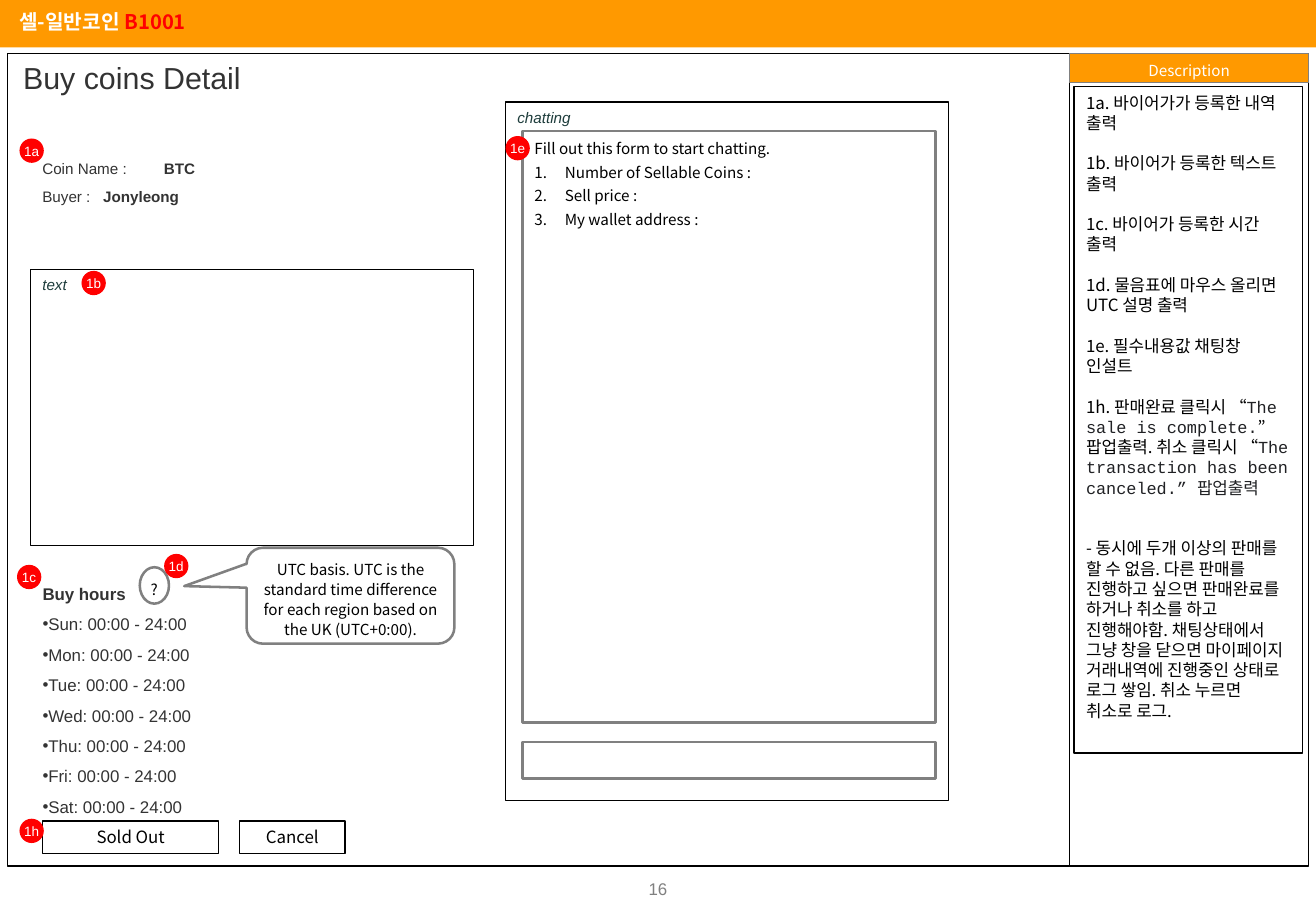
import pptx
import pptx.util
import pptx.dml.color
import pptx.enum.shapes
import pptx.enum.text
import pptx.oxml.ns
from lxml import etree

SLIDE_W, SLIDE_H = 10.83, 7.5
ARIAL, NOTO, COURIER = "Arial", "Noto Sans CJK KR", "Courier New"
BLACK, WHITE, GREY, RED = "000000", "FFFFFF", "808080", "FF0000"
ORANGE, DARK, TEAL, CODE = "FF9900", "333333", "1E3D3C", "202124"
SHAPE = pptx.enum.shapes.MSO_SHAPE
CENTER = pptx.enum.text.PP_ALIGN.CENTER
MIDDLE = pptx.enum.text.MSO_ANCHOR.MIDDLE
TOP = pptx.enum.text.MSO_ANCHOR.TOP

# A paragraph is a string or a list of runs; a run is a string or (text, format).
SCREEN = ["셀-일반코인 ", ("B1001", {"color": RED})]
TITLE = "Buy coins Detail"
FACTS = [("Coin Name :", "BTC"), ("Buyer :", "Jonyleong")]
HOURS_TITLE = "Buy hours"
DAYS = ["Sun", "Mon", "Tue", "Wed", "Thu", "Fri", "Sat"]
OPENING = "00:00 - 24:00"
UTC_HELP = ("UTC basis. UTC is the standard time difference for each region "
            "based on the UK (UTC+0:00).")
FORM_TITLE = "Fill out this form to start chatting."
FORM_FIELDS = ["Number of Sellable Coins :", "Sell price :", "My wallet address :"]
POPUP = {"font": COURIER, "color": CODE}
NOTES = [
    "1a. 바이어가가 등록한 내역 출력",
    "1b. 바이어가 등록한 텍스트 출력",
    "1c. 바이어가 등록한 시간 출력",
    "1d. 물음표에 마우스 올리면 UTC 설명 출력",
    "1e. 필수내용값 채팅창 인설트",
    ["1h. 판매완료 클릭시 “", ("The sale is complete.", POPUP),
     "” 팝업출력. 취소 클릭시 “",
     ("The transaction has been canceled.” 팝업출력", POPUP)],
]
RULE = ("- 동시에 두개 이상의 판매를 할 수 없음. 다른 판매를 진행하고 싶으면 판매완료를 "
        "하거나 취소를 하고 진행해야함. 채팅상태에서 그냥 창을 닫으면 마이페이지 "
        "거래내역에 진행중인 상태로 로그 쌓임. 취소 누르면 취소로 로그.")
PAGE = "16"

# Places are left, top, width, height in percent of the slide.
SIDE_X, SIDE_W = 81.26, 18.19
FRAME_Y, FRAME_H = 5.87, 89.2
LEFT_X, PANEL_W = 2.31, 33.7
CHAT_X, FORM_X, FORM_W = 38.41, 39.7, 31.39
BADGE_W, BADGE_H = 1.85, 2.67
BADGES = {"1e": (CHAT_X, 14.93), "1a": (1.48, 15.2), "1b": (6.19, 29.73),
          "1c": (1.29, 62), "1d": (12.47, 60.8), "1h": (1.48, 89.87)}
BUTTONS = {"Sold Out": (3.23, 13.39), "Cancel": (18.19, 8.03)}


def rgb(color):
    return pptx.dml.color.RGBColor.from_string(color)


def place(left, top, width, height):
    """Turn percent of the slide into lengths."""
    return [pptx.util.Inches(share * size / 100) for share, size in
            zip((left, top, width, height), (SLIDE_W, SLIDE_H) * 2)]


def add_props(paragraph, bullet=None, indent=0, tab=None):
    props = paragraph._p.get_or_add_pPr()
    hang = pptx.util.Inches(indent)
    props.set("marL", str(hang))
    props.set("indent", str(-hang))
    kind, attributes = {
        None: ("buNone", {}),
        "1.": ("buAutoNum", {"type": "arabicPeriod"}),
    }.get(bullet, ("buChar", {"char": bullet}))
    etree.SubElement(props, pptx.oxml.ns.qn("a:" + kind), attributes)
    if tab:
        tabs = etree.SubElement(props, pptx.oxml.ns.qn("a:tabLst"))
        etree.SubElement(tabs, pptx.oxml.ns.qn("a:tab"),
                         {"pos": str(pptx.util.Inches(tab)), "algn": "l"})


def add_run(paragraph, text, font, size, color, bold=False, italic=False):
    run = paragraph.add_run()
    run.text = text
    run.font.size = pptx.util.Pt(size)
    run.font.bold, run.font.italic = bold, italic
    run.font.color.rgb = rgb(color)
    run.font.name = font
    east = NOTO if font == COURIER else font
    etree.SubElement(run.font._element, pptx.oxml.ns.qn("a:ea"), {"typeface": east})


def write(shape, *paragraphs, align=None, anchor=TOP, spacing=1.0, gaps=(0,),
          bullets=(None,), indent=0, tab=None, side=0.1, **style):
    """Fill a shape; the last gap and bullet given hold for all later paragraphs."""
    frame = shape.text_frame
    frame.word_wrap = True
    frame.auto_size = pptx.enum.text.MSO_AUTO_SIZE.NONE
    frame.vertical_anchor = anchor
    frame.margin_left = frame.margin_right = pptx.util.Inches(side)
    frame.margin_top = frame.margin_bottom = pptx.util.Inches(0.05)
    for index, content in enumerate(paragraphs):
        paragraph = frame.add_paragraph() if index else frame.paragraphs[0]
        bullet = bullets[min(index, len(bullets) - 1)]
        add_props(paragraph, bullet, indent if bullet else 0, tab)
        paragraph.alignment = align or pptx.enum.text.PP_ALIGN.LEFT
        paragraph.line_spacing = spacing
        paragraph.space_before = pptx.util.Pt(gaps[min(index, len(gaps) - 1)])
        for run in [content] if isinstance(content, str) else content:
            text, changes = (run, {}) if isinstance(run, str) else run
            add_run(paragraph, text, **{**style, **changes})


def draw(slide, kind, box, fill=None, line=None, width=0, adjust=()):
    shape = slide.shapes.add_shape(kind, *place(*box))
    shape.shadow.inherit = False
    for index, value in enumerate(adjust):
        shape.adjustments[index] = value
    if fill:
        shape.fill.solid()
        shape.fill.fore_color.rgb = rgb(fill)
    else:
        shape.fill.background()
    if line:
        shape.line.color.rgb = rgb(line)
        shape.line.width = pptx.util.Pt(width)
    else:
        shape.line.fill.background()
    return shape


def main():
    deck = pptx.Presentation()
    deck.slide_width = pptx.util.Inches(SLIDE_W)
    deck.slide_height = pptx.util.Inches(SLIDE_H)
    slide = deck.slides.add_slide(deck.slide_layouts[1])
    title, hours = slide.placeholders
    small = {"font": NOTO, "size": 9, "color": BLACK, "spacing": 1.1}
    label = {"font": ARIAL, "size": 9, "color": TEAL, "italic": True}
    button = {"font": NOTO, "size": 10, "color": BLACK}
    outline = {"fill": WHITE, "line": GREY, "width": 1.5}

    def text_box(*box):
        return slide.shapes.add_textbox(*place(*box))

    def panel(*box, **look):
        return draw(slide, SHAPE.RECTANGLE, box, **look)

    # Page frame
    panel(0, 0, 100, 5.2, fill=ORANGE)
    panel(0.55, FRAME_Y, 80.7, FRAME_H, line=BLACK)
    panel(SIDE_X, FRAME_Y, SIDE_W, FRAME_H, line=BLACK)
    write(panel(SIDE_X, FRAME_Y, SIDE_W, 3.2, fill=ORANGE, line=GREY),
          "Description", align=CENTER, **{**small, "color": WHITE})
    write(text_box(0.55, 0.4, 25.58, 4), SCREEN,
          font=NOTO, size=12, color=WHITE, bold=True)
    write(text_box(47.46, 95.73, 5.08, 3.73), PAGE, align=CENTER, anchor=MIDDLE,
          font=ARIAL, size=10, color=GREY)

    # Coin details and hours
    title.left, title.top, title.width, title.height = place(0.83, FRAME_Y, 61.59, 5.33)
    write(title, TITLE, font=ARIAL, size=18, color=DARK)
    facts = [[name + "\t", (value, {"bold": True})] for name, value in FACTS]
    write(text_box(LEFT_X, 15.87, 40.07, 7.07), *facts, spacing=1.5, tab=1.59,
          font=ARIAL, size=9, color=DARK)
    write(panel(LEFT_X, 29.6, PANEL_W, 30.27, line=BLACK), "text", **label)
    hours.left, hours.top, hours.width, hours.height = place(LEFT_X, 62.27, 24.28, 27.87)
    write(hours, [(HOURS_TITLE, {"bold": True})], *[f"{day}: {OPENING}" for day in DAYS],
          bullets=(None, "•"), spacing=1.5, font=ARIAL, size=10, color=DARK)
    write(draw(slide, SHAPE.ROUNDED_RECTANGULAR_CALLOUT, (18.74, 60.13, 15.79, 10.53),
               adjust=(-0.8, -0.1, 0.17), **outline), UTC_HELP, align=CENTER, **small)
    write(draw(slide, SHAPE.OVAL, (10.62, 62.27, 2.22, 4), **outline), "?",
          align=CENTER, side=0, **small)

    # Chat
    write(panel(CHAT_X, 11.2, PANEL_W, 76.67, line=BLACK), "chatting", **label)
    write(draw(slide, SHAPE.RECTANGULAR_CALLOUT, (FORM_X, 14.4, FORM_W, 64.93),
               adjust=(-0.2, 0.5), **outline),
          FORM_TITLE, *FORM_FIELDS, bullets=(None, "1."), indent=0.25,
          gaps=(0, 2.25), **small)
    panel(FORM_X, 81.47, FORM_W, 4, **outline)

    # Notes, buttons and badges
    write(panel(81.62, 9.47, 17.36, 73.2, line=BLACK, width=0.75), *NOTES, RULE,
          gaps=(0,) + (12,) * (len(NOTES) - 1) + (24,), **button)
    for name, (left, width) in BUTTONS.items():
        write(panel(left, 90.13, width, 3.6, line=BLACK, width=0.75), name,
              align=CENTER, **button)
    for name, (left, top) in BADGES.items():
        write(draw(slide, SHAPE.OVAL, (left, top, BADGE_W, BADGE_H), fill=RED), name,
              align=CENTER, anchor=MIDDLE, side=0, font=ARIAL, size=8, color=WHITE)
    deck.save("out.pptx")


if __name__ == "__main__":
    main()
